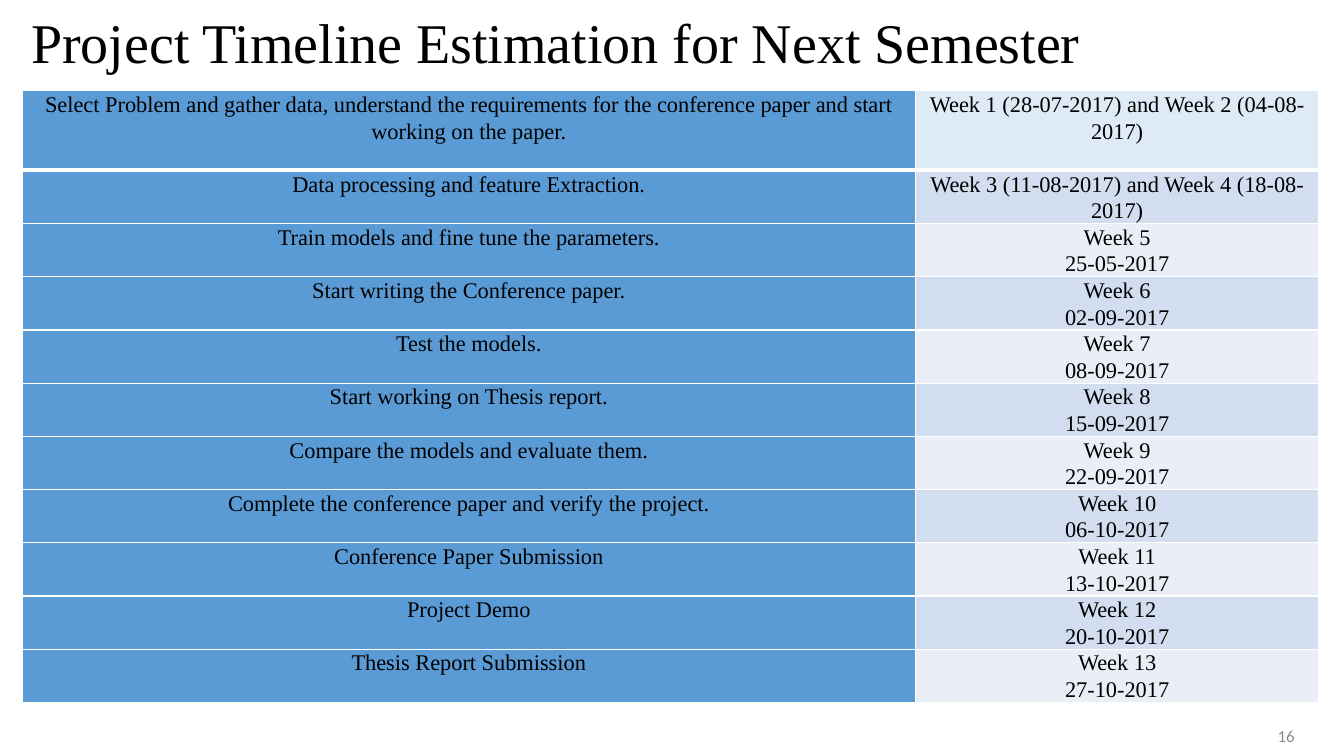
"""Build the project timeline slide."""
from lxml import etree
from pptx import Presentation
from pptx.dml.color import RGBColor
from pptx.enum import text
from pptx.oxml import ns
from pptx.util import Inches, Pt

SERIF = "Times New Roman"
TASKS = [
    ("Select Problem and gather data, understand the requirements for the "
     "conference paper and start working on the paper.",
     "Week 1 (28-07-2017) and Week 2 (04-08-2017)"),
    ("Data processing and feature Extraction.",
     "Week 3 (11-08-2017) and Week 4 (18-08-2017)"),
    ("Train models and fine tune the parameters.", "Week 5\n25-05-2017"),
    ("Start writing the Conference paper.", "Week 6\n02-09-2017"),
    ("Test the models.", "Week 7\n08-09-2017"),
    ("Start working on Thesis report.", "Week 8\n15-09-2017"),
    ("Compare the models and evaluate them.", "Week 9\n22-09-2017"),
    ("Complete the conference paper and verify the project.", "Week 10\n06-10-2017"),
    ("Conference Paper Submission", "Week 11\n13-10-2017"),
    ("Project Demo", "Week 12\n20-10-2017"),
    ("Thesis Report Submission", "Week 13\n27-10-2017"),
]


def color(value):
    """Turn a hex string into a colour."""
    return RGBColor.from_string(value)


class SlideBuilder:
    """Hold the style and the current slide."""

    task_fill, header_fill = "5B9BD5", "DEEBF7"
    band_fills = ("EAEFF7", "D2DEEF")
    border = "FFFFFF"

    def __init__(self, page):
        """Keep the slide to work on."""
        self.page = page

    def set_text(self, frame, content, size, font, ink, align, spacing=1.0):
        """Fill a text frame with evenly styled paragraphs."""
        frame.text = content
        frame.word_wrap = True
        for para in frame.paragraphs:
            para.alignment = align
            para.line_spacing = spacing
            para.font.size, para.font.name = Pt(size), font
            para.font.color.rgb = color(ink)

    def title(self, content, left, top, width, height):
        """Place and format the title placeholder."""
        box = self.page.shapes.title
        box.left, box.top = Inches(left), Inches(top)
        box.width, box.height = Inches(width), Inches(height)
        self.set_text(box.text_frame, content, 40, SERIF, "000000",
                      text.PP_ALIGN.LEFT, 0.9)
        box.text_frame.vertical_anchor = text.MSO_ANCHOR.MIDDLE

    def page_number(self, content, left, top, width, height):
        """Add the page number in a text box."""
        box = self.page.shapes.add_textbox(
            Inches(left), Inches(top), Inches(width), Inches(height))
        self.set_text(box.text_frame, content, 12, "Calibri", "8C8C8C",
                      text.PP_ALIGN.RIGHT)
        box.text_frame.vertical_anchor = text.MSO_ANCHOR.MIDDLE

    def borders(self, cell, top, bottom):
        """Draw the four borders of a cell, with widths in points."""
        widths = {"lnL": 1, "lnR": 1, "lnT": top, "lnB": bottom}
        for place, (tag, width) in enumerate(widths.items()):
            line = etree.Element(ns.qn(f"a:{tag}"), w=str(Pt(width)))
            fill = etree.SubElement(line, ns.qn("a:solidFill"))
            etree.SubElement(fill, ns.qn("a:srgbClr"), val=self.border)
            cell._tc.get_or_add_tcPr().insert(place, line)

    def cell(self, cell, content, fill, top, bottom):
        """Fill and format one table cell."""
        cell.margin_left = cell.margin_right = Inches(0.06)
        cell.margin_top = cell.margin_bottom = 0
        self.set_text(cell.text_frame, content, 16, SERIF, "000000",
                      text.PP_ALIGN.CENTER, 1.07)
        cell.fill.solid()
        cell.fill.fore_color.rgb = color(fill)
        self.borders(cell, top, bottom)

    def timeline(self, tasks, left, top, widths, first_height, row_height):
        """Add the table of tasks and weeks."""
        height = first_height + row_height * (len(tasks) - 1)
        table = self.page.shapes.add_table(
            len(tasks), len(widths), Inches(left), Inches(top),
            Inches(sum(widths)), Inches(height)).table
        for column, width in zip(table.columns, widths):
            column.width = Inches(width)
        for index, entries in enumerate(tasks):
            table.rows[index].height = Inches(row_height if index else first_height)
            week_fill = self.band_fills[index % 2] if index else self.header_fill
            for side, fill in enumerate((self.task_fill, week_fill)):
                self.cell(table.cell(index, side), entries[side], fill,
                          3 if index == 1 else 1, 1 if index else 3)


deck = Presentation()
deck.slide_width, deck.slide_height = Inches(13.33), Inches(7.5)
builder = SlideBuilder(deck.slides.add_slide(deck.slide_layouts[5]))
builder.title("Project Timeline Estimation for Next Semester", 0.21, 0, 11.88, 0.9)
builder.timeline(TASKS, 0.22, 0.9, (8.86, 4), 0.79, 0.5)
builder.page_number("16", 9.94, 7.1, 3, 0.4)
deck.save("out.pptx")
